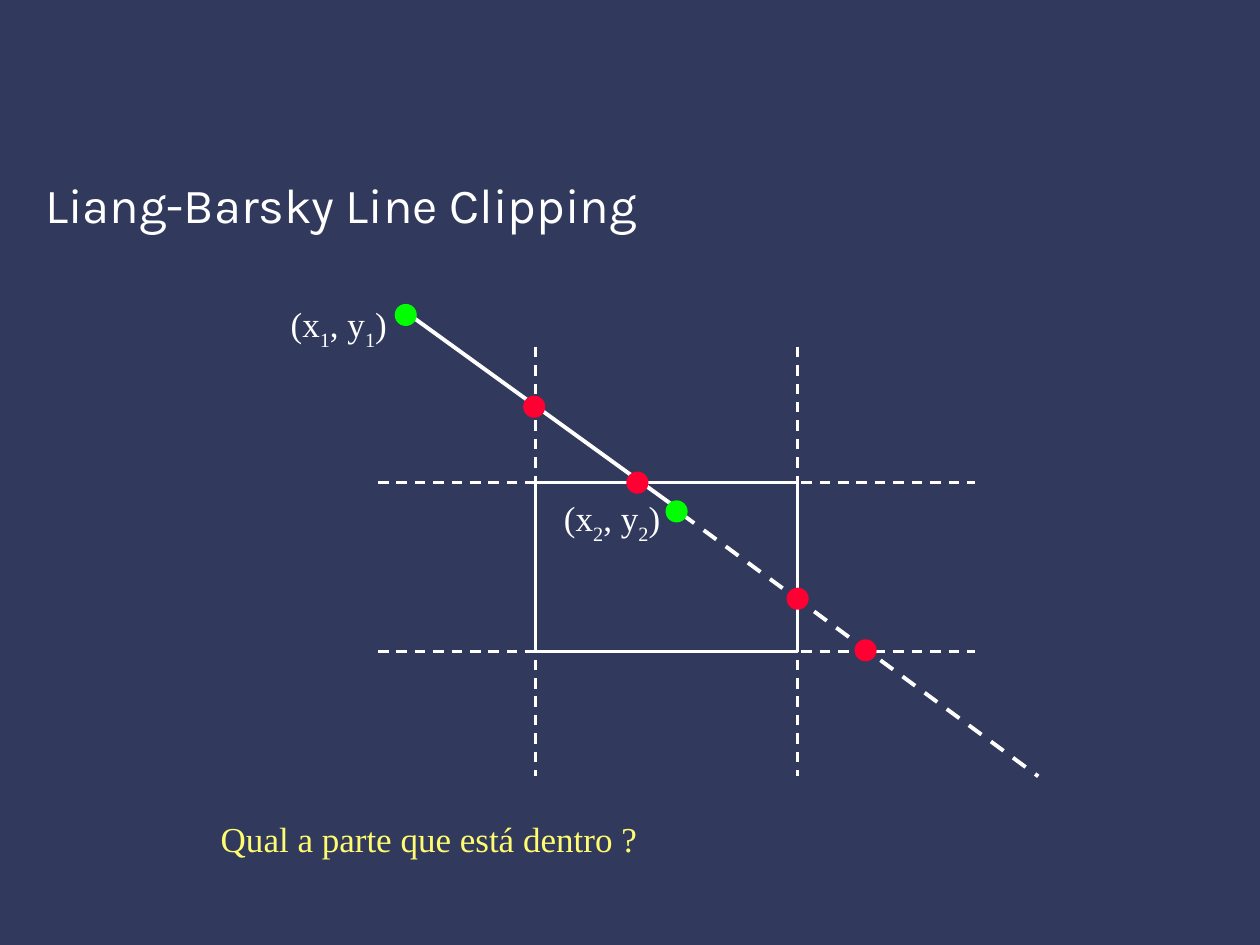
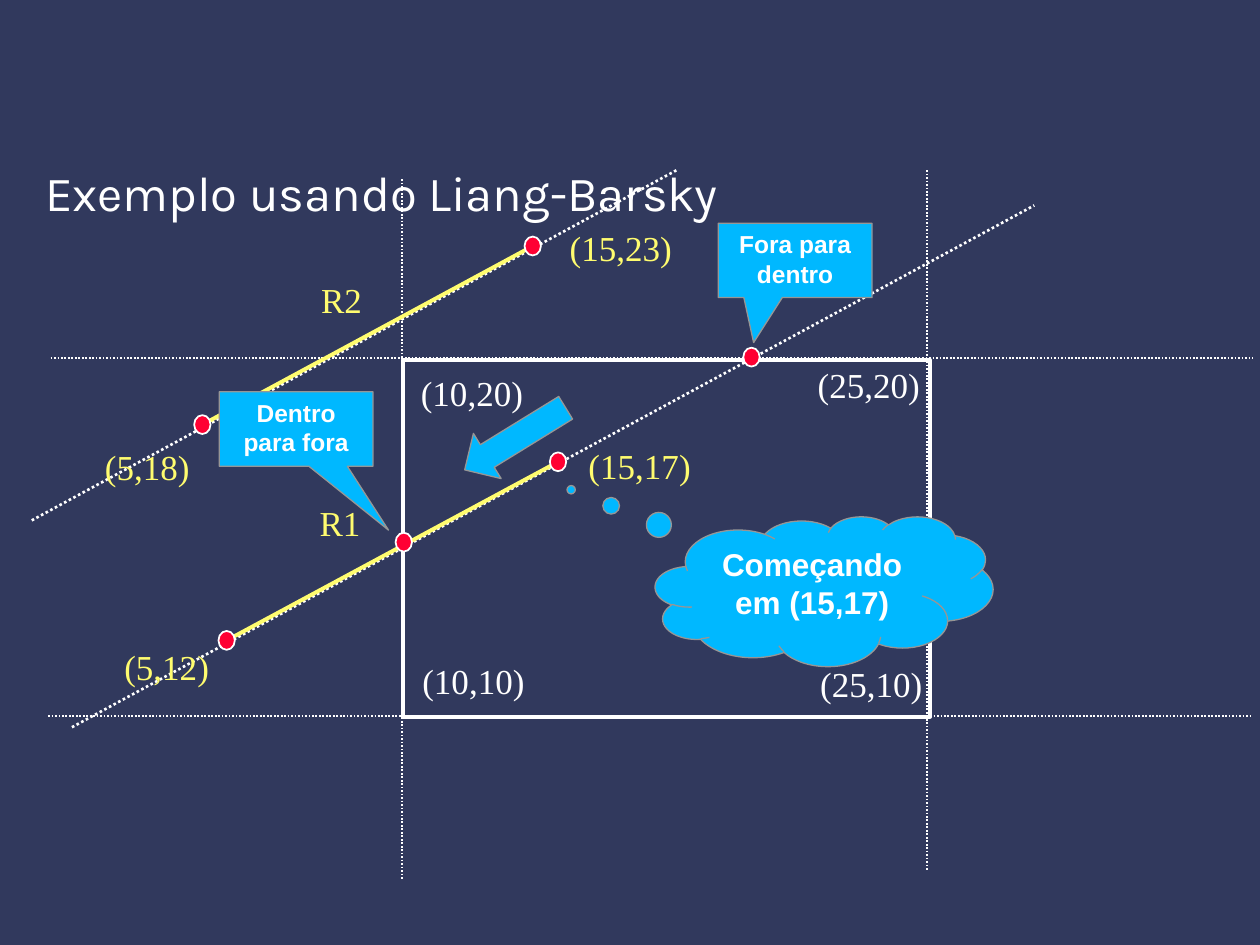
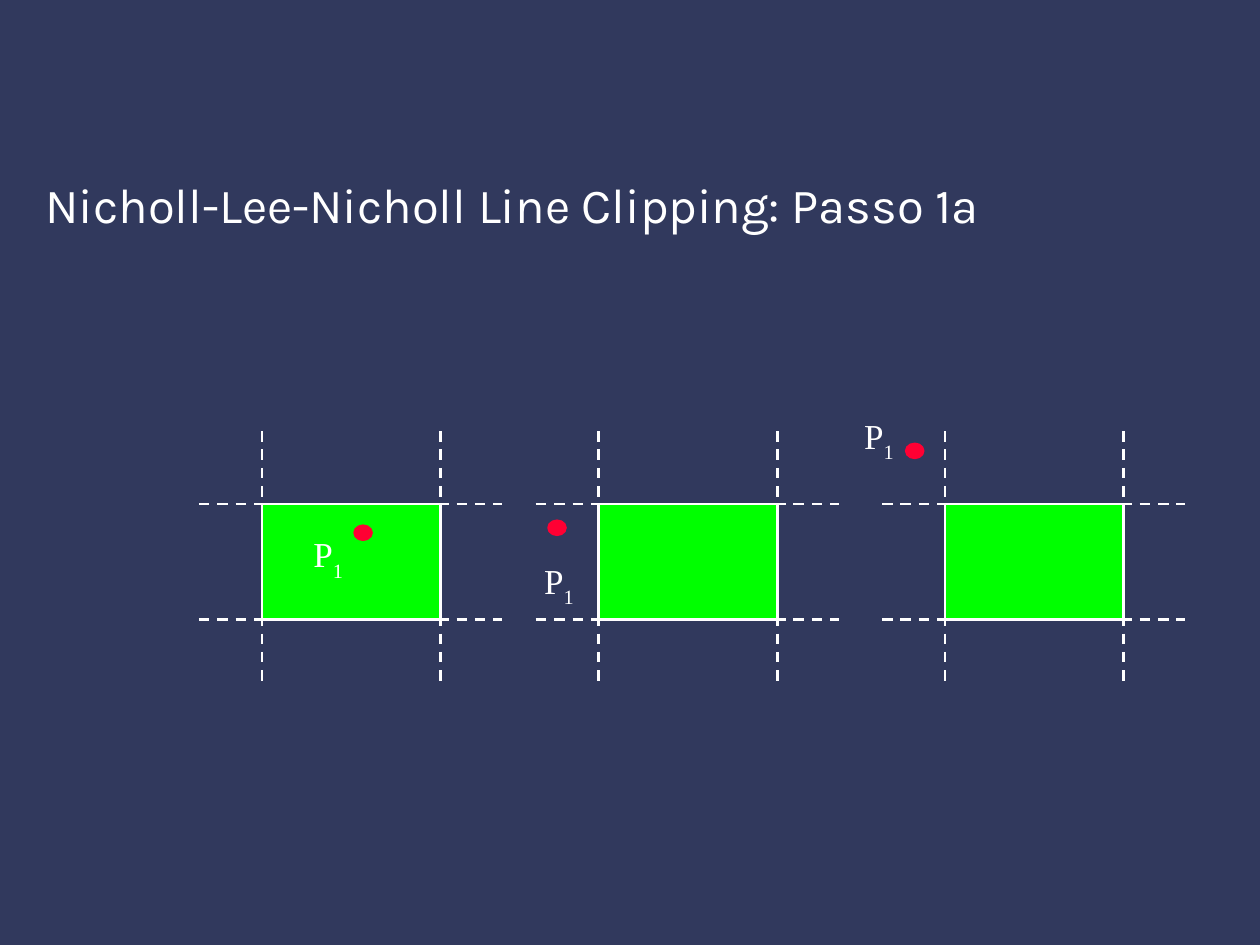
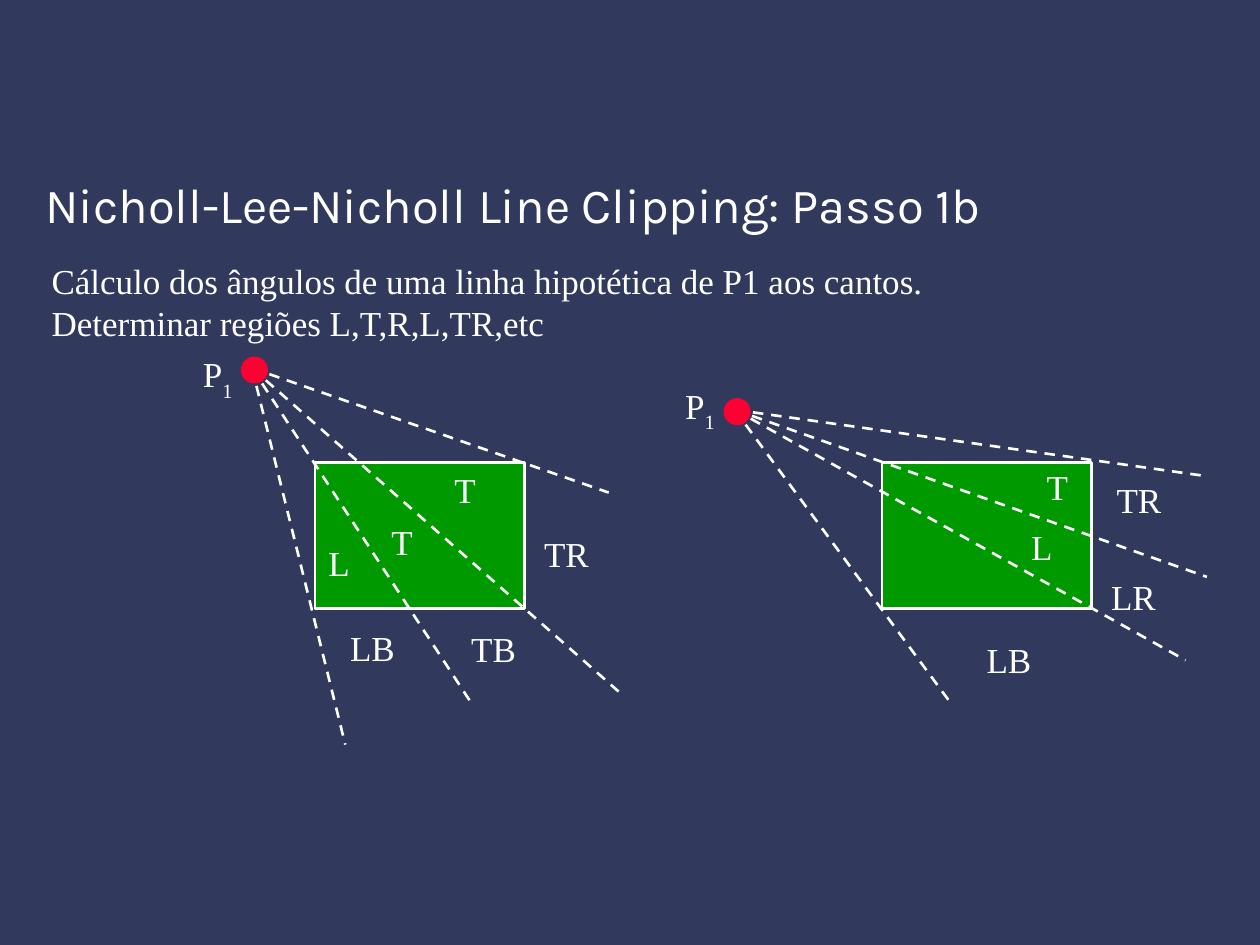
from lxml import etree
from pptx import Presentation
from pptx.dml.color import RGBColor
from pptx.enum.dml import MSO_LINE
from pptx.enum.shapes import MSO_CONNECTOR, MSO_SHAPE
from pptx.enum.text import MSO_ANCHOR, MSO_AUTO_SIZE, PP_ALIGN
from pptx.oxml.ns import qn
from pptx.util import Cm, Pt

COLORS = {
    "background": "31395D",
    "white": "FFFFFF",
    "yellow": "FFFC6F",
    "red": "FF0033",
    "lime": "00FF00",
    "green": "009900",
    "blue": "00B8FF",
    "gray": "969696",
}
TITLE_FONT = "Karla"
LABEL_FONT = "Times New Roman"
CALLOUT_FONT = "Arial"

DASH = MSO_LINE.DASH
DOTTED = MSO_LINE.ROUND_DOT
STRAIGHT = MSO_CONNECTOR.STRAIGHT
RECTANGLE = MSO_SHAPE.RECTANGLE
ELLIPSE = MSO_SHAPE.OVAL
ARROW = MSO_SHAPE.RIGHT_ARROW
CLOUD = MSO_SHAPE.CLOUD_CALLOUT
WEDGE = MSO_SHAPE.RECTANGULAR_CALLOUT
LEFT, CENTER, RIGHT = PP_ALIGN.LEFT, PP_ALIGN.CENTER, PP_ALIGN.RIGHT
TOP, MIDDLE = MSO_ANCHOR.TOP, MSO_ANCHOR.MIDDLE
FIT_SHAPE = MSO_AUTO_SIZE.SHAPE_TO_FIT_TEXT


def rgb(name):
    return RGBColor.from_string(COLORS[name])


def set_font(font, name, size, color, bold=False):
    font.name = name
    font.size = Pt(size)
    font.bold = bold
    font.color.rgb = rgb(color)


def add_page(deck, title, top=3.28, height=1.65):
    page = deck.slides.add_slide(deck.slide_layouts[5])
    box = page.shapes.title
    box.left, box.top = Cm(0.66), Cm(top)
    box.width, box.height = Cm(23.88), Cm(height)
    box.text_frame.text = title
    box.text_frame.vertical_anchor = MIDDLE
    para = box.text_frame.paragraphs[0]
    para.alignment = LEFT
    set_font(para.font, TITLE_FONT, 28, "white")
    return page


def add_line(page, start, end, width=1.5, dash=None, color="white"):
    line = page.shapes.add_connector(STRAIGHT, *map(Cm, start + end))
    line.line.color.rgb = rgb(color)
    line.line.width = Pt(width)
    if dash:
        line.line.dash_style = dash
    etree.SubElement(line._element.spPr, qn("a:effectLst"))


def add_figure(page, kind, left, top, width, height, fill, line, line_width):
    shape = page.shapes.add_shape(kind, Cm(left), Cm(top), Cm(width), Cm(height))
    shape.shadow.inherit = False
    if fill:
        shape.fill.solid()
        shape.fill.fore_color.rgb = rgb(fill)
    else:
        shape.fill.background()
    shape.line.color.rgb = rgb(line)
    shape.line.width = Pt(line_width)
    return shape


def add_dot(page, center, width, height, fill="red", line=None):
    x, y = center
    add_figure(page, ELLIPSE, x - width / 2, y - height / 2, width, height,
               fill, line or fill, 1)


def add_window(page, left, top, width, height, reach, fill=None):
    reach_left, reach_top, reach_right, reach_bottom = reach
    right, bottom = left + width, top + height
    for x in (left, right):
        add_line(page, (x, top - reach_top), (x, bottom + reach_bottom), dash=DASH)
    for y in (top, bottom):
        add_line(page, (left - reach_left, y), (right + reach_right, y), dash=DASH)
    add_figure(page, RECTANGLE, left, top, width, height, fill, "white", 1.5)


def add_label(page, text, left, top, width, height=1.12, color="white", align=CENTER):
    """Text between underscores is set as a subscript."""
    box = page.shapes.add_textbox(Cm(left), Cm(top), Cm(width), Cm(height))
    frame = box.text_frame
    frame.word_wrap = False
    frame.auto_size = FIT_SHAPE
    for number, line in enumerate(text.split("\n")):
        para = frame.add_paragraph() if number else frame.paragraphs[0]
        para.alignment = align
        set_font(para.font, LABEL_FONT, 20, color)
        for index, part in enumerate(line.split("_")):
            if part:
                span = para.add_run()
                span.text = part
                if index % 2:
                    span._r.get_or_add_rPr().set("baseline", "-30000")


def add_point_label(page, left, top):
    add_label(page, "P_1_", left, top, 1.14, 1.24, align=LEFT)


def add_callout(page, kind, text, place, tip, size):
    shape = add_figure(page, kind, *place, "blue", "gray", 0.75)
    shape.adjustments[0], shape.adjustments[1] = tip
    frame = shape.text_frame
    frame.word_wrap = True
    frame.vertical_anchor = TOP
    frame.text = text
    para = frame.paragraphs[0]
    para.alignment = CENTER
    set_font(para.font, CALLOUT_FONT, size, "white", bold=True)


def build_question(deck):
    page = add_page(deck, "Liang-Barsky Line Clipping")
    add_line(page, (8.26, 6.35), (13.64, 10.24), 2.25)
    add_line(page, (13.74, 10.36), (20.93, 15.65), 2.25, DASH)
    add_window(page, 10.8, 9.73, 5.28, 3.4, (3.18, 2.74, 3.58, 2.52))
    for crossing in ((17.45, 13.11), (16.08, 12.07), (12.85, 9.73), (10.77, 8.2)):
        add_dot(page, crossing, 0.41, 0.41)
    for endpoint in ((13.64, 10.31), (8.18, 6.35)):
        add_dot(page, endpoint, 0.41, 0.41, "lime")
    add_label(page, "(x_1_, y_1_)", 5.59, 5.97, 2.46, 1.24, align=RIGHT)
    add_label(page, "(x_2_, y_2_)", 11.1, 9.88, 2.46, 1.24, align=RIGHT)
    add_label(page, "Qual a parte que está dentro ?", 3.81, 16.36, 9.68, color="yellow")


def build_example(deck):
    page = add_page(deck, "Exemplo usando Liang-Barsky", 3.15, 1.45)
    add_line(page, (1.45, 14.66), (20.85, 4.14), dash=DOTTED)
    add_line(page, (0.64, 10.49), (13.64, 3.43), dash=DOTTED)
    add_figure(page, RECTANGLE, 8.13, 7.26, 10.62, 7.19, None, "white", 2.25)
    guides = (
        ((1.02, 7.21), (25.25, 7.21)),
        ((0.97, 14.43), (25.2, 14.43)),
        ((8.1, 3.61), (8.1, 17.73)),
        ((18.69, 3.43), (18.69, 17.53)),
    )
    for start, end in guides:
        add_line(page, start, end, 1, DOTTED)
    corners = (
        ("(10,10)", 8.26, 13.18),
        ("(10,20)", 8.23, 7.37),
        ("(25,10)", 16.28, 13.23),
        ("(25,20)", 16.23, 7.21),
    )
    for text, left, top in corners:
        add_label(page, text, left, top, 2.57)
    segments = (((4.08, 8.56), (10.74, 4.96)), ((4.57, 12.91), (11.25, 9.31)))
    for start, end in segments:
        add_line(page, start, end, 2.25, color="yellow")
        for endpoint in (end, start):
            add_dot(page, endpoint, 0.33, 0.38, line="white")
    segment_labels = (
        ("(15,17)", 11.61, 8.84, 2.57),
        ("(5,12)", 2.24, 12.88, 2.24),
        ("(15,23)", 11.23, 4.45, 2.57),
        ("(5,18)", 1.85, 8.86, 2.24),
        ("R1", 6.17, 9.98, 1.37),
        ("R2", 6.2, 5.49, 1.37),
    )
    for text, left, top, width in segment_labels:
        add_label(page, text, left, top, width, color="yellow")
    add_callout(page, CLOUD, "Começando em (15,17)", (13.21, 10.41, 6.81, 3.02),
                (-0.749, -0.678), 18)
    add_callout(page, WEDGE, "Fora para dentro", (14.48, 4.5, 3.1, 1.5),
                (-0.27, 1.105), 14)
    arrow = add_figure(page, ARROW, 9.19, 8.31, 2.39, 1.07, "blue", "gray", 0.75)
    arrow.rotation = 148.4
    for crossing in ((15.15, 7.2), (8.14, 10.93)):
        add_dot(page, crossing, 0.33, 0.38, line="white")
    add_callout(page, WEDGE, "Dentro para fora", (4.42, 7.9, 3.1, 1.5),
                (0.601, 1.358), 14)


def build_positions(deck):
    page = add_page(deck, "Nicholl-Lee-Nicholl Line Clipping: Passo 1a")
    cases = (
        (5.28, (7.32, 10.74), (6.07, 10.62)),
        (12.07, (11.23, 10.64), (10.72, 11.15)),
        (19.05, (18.44, 9.09), (17.17, 8.23)),
    )
    for left, point, label in cases:
        add_window(page, left, 10.16, 3.6, 2.33, (1.27, 1.47, 1.24, 1.24), "lime")
        add_point_label(page, *label)
        add_dot(page, point, 0.36, 0.3)


def add_regions(page, window_left, source, label, ray_ends, regions):
    add_figure(page, RECTANGLE, window_left, 9.32, 4.22, 2.95, "green", "white", 1.5)
    add_point_label(page, *label)
    for end in ray_ends:
        add_line(page, source, end, dash=DASH)
    x, y = source
    add_dot(page, (x + 0.05, y + 0.04), 0.51, 0.51)
    for text, left, top in regions:
        add_label(page, text, left, top, 0.97 if len(text) == 1 else 1.46, 1.09)


def build_angles(deck):
    page = add_page(deck, "Nicholl-Lee-Nicholl Line Clipping: Passo 1b")
    add_regions(
        page, 6.35, (5.08, 7.42), (3.84, 6.99),
        ((12.27, 9.93), (12.47, 13.94), (9.5, 14.17), (6.96, 15.01)),
        (("T", 7.62, 10.36), ("T", 8.89, 9.32), ("L", 6.35, 10.8),
         ("LB", 6.78, 12.5), ("TB", 9.22, 12.52), ("TR", 10.69, 10.62)),
    )
    add_regions(
        page, 17.78, (14.81, 8.26), (13.56, 7.62),
        ((24.33, 9.6), (24.33, 11.63), (23.9, 13.31), (19.2, 14.22)),
        (("L", 20.52, 10.46), ("T", 20.83, 9.25), ("TR", 22.23, 9.53),
         ("LR", 22.12, 11.48), ("LB", 19.61, 12.75)),
    )
    add_label(page, "Cálculo dos ângulos de uma linha hipotética de P1 aos cantos.\n"
              "Determinar regiões L,T,R,L,TR,etc", 0.79, 5.11, 19.1, 1.96, align=LEFT)


def main():
    deck = Presentation()
    deck.slide_width, deck.slide_height = Cm(25.4), Cm(19.05)
    background = deck.slide_master.background.fill
    background.solid()
    background.fore_color.rgb = rgb("background")
    build_question(deck)
    build_example(deck)
    build_positions(deck)
    build_angles(deck)
    deck.save("out.pptx")


if __name__ == "__main__":
    main()
